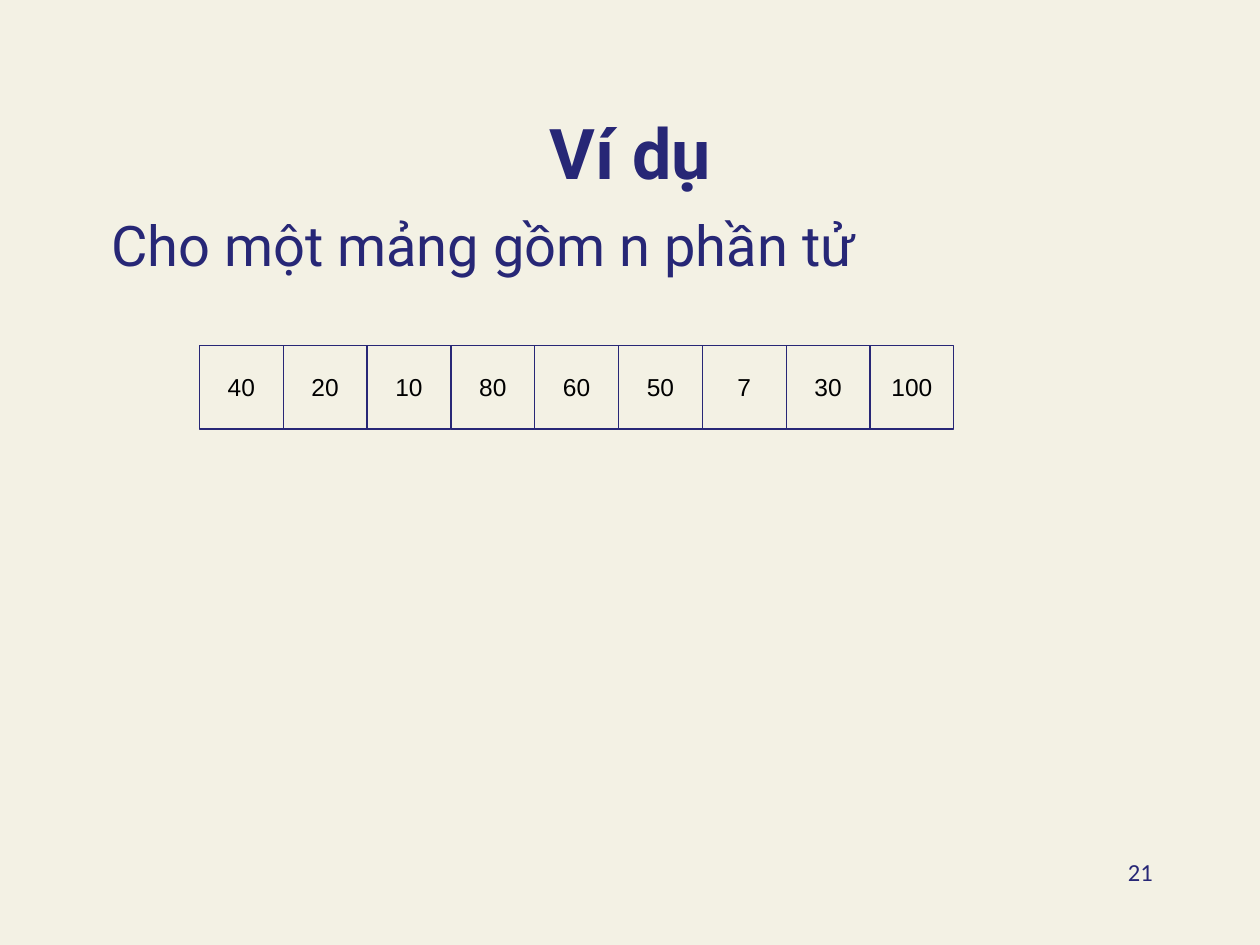
import pptx
import pptx.dml.color
import pptx.enum.shapes
import pptx.enum.text
import pptx.util

Cm = pptx.util.Cm
RGBColor = pptx.dml.color.RGBColor
ALIGN = pptx.enum.text.PP_ALIGN
ANCHOR = pptx.enum.text.MSO_ANCHOR

CREAM = RGBColor(0xF3, 0xF1, 0xE4)
NAVY = RGBColor(0x27, 0x27, 0x76)
BLACK = RGBColor(0x00, 0x00, 0x00)

ARRAY = [40, 20, 10, 80, 60, 50, 7, 30, 100]
CELL = 1.69
ARRAY_LEFT, ARRAY_TOP = 4.02, 6.96


def write(tf, text, size, font="Roboto", color=NAVY, bold=False,
          align=ALIGN.LEFT, anchor=ANCHOR.TOP, wrap=True, before=0):
    """Fill a text frame with one formatted paragraph and return it."""
    tf.word_wrap = wrap
    tf.vertical_anchor = anchor
    p = tf.paragraphs[0]
    p.alignment = align
    p.space_before = pptx.util.Pt(before)
    r = p.add_run()
    r.text = text
    r.font.name = font
    r.font.size = pptx.util.Pt(size)
    r.font.bold = bold
    r.font.color.rgb = color
    return p


class Deck:
    def __init__(self):
        self.prs = pptx.Presentation()
        self.prs.slide_width, self.prs.slide_height = Cm(25.4), Cm(19.05)
        self.s = None

    def slide(self):
        self.s = self.prs.slides.add_slide(self.prs.slide_layouts[6])
        fill = self.s.background.fill
        fill.solid()
        fill.fore_color.rgb = CREAM

    def text(self, left, top, width, height, text, **fmt):
        box = self.s.shapes.add_textbox(Cm(left), Cm(top), Cm(width), Cm(height))
        return write(box.text_frame, text, **fmt)

    def cell(self, left, top, text):
        sp = self.s.shapes.add_shape(pptx.enum.shapes.MSO_SHAPE.RECTANGLE,
                                     Cm(left), Cm(top), Cm(CELL), Cm(CELL))
        sp.shadow.inherit = False
        sp.fill.solid()
        sp.fill.fore_color.rgb = CREAM
        sp.line.color.rgb = NAVY
        sp.line.width = pptx.util.Pt(0.75)
        write(sp.text_frame, text, size=14, font="Arial", color=BLACK,
              align=ALIGN.CENTER, anchor=ANCHOR.MIDDLE, wrap=False)


def main():
    deck = Deck()
    deck.slide()
    deck.text(1.91, 0.84, 21.59, 3.18, "Ví dụ", size=40, bold=True,
              align=ALIGN.CENTER, anchor=ANCHOR.BOTTOM)
    p = deck.text(1.91, 4.11, 21.59, 11.43, "Cho một mảng gồm n phần tử",
                  size=32, before=6.4)
    pPr = p._p.get_or_add_pPr()
    pPr.set("marL", str(Cm(1.27)))
    pPr.set("indent", str(Cm(-1.19)))
    deck.text(18.21, 17.15, 5.28, 1.27, "21", size=14, font="Calibri",
              align=ALIGN.RIGHT)
    for i, value in enumerate(ARRAY):
        deck.cell(ARRAY_LEFT + i * CELL, ARRAY_TOP, str(value))
    deck.prs.save("out.pptx")


if __name__ == "__main__":
    main()
